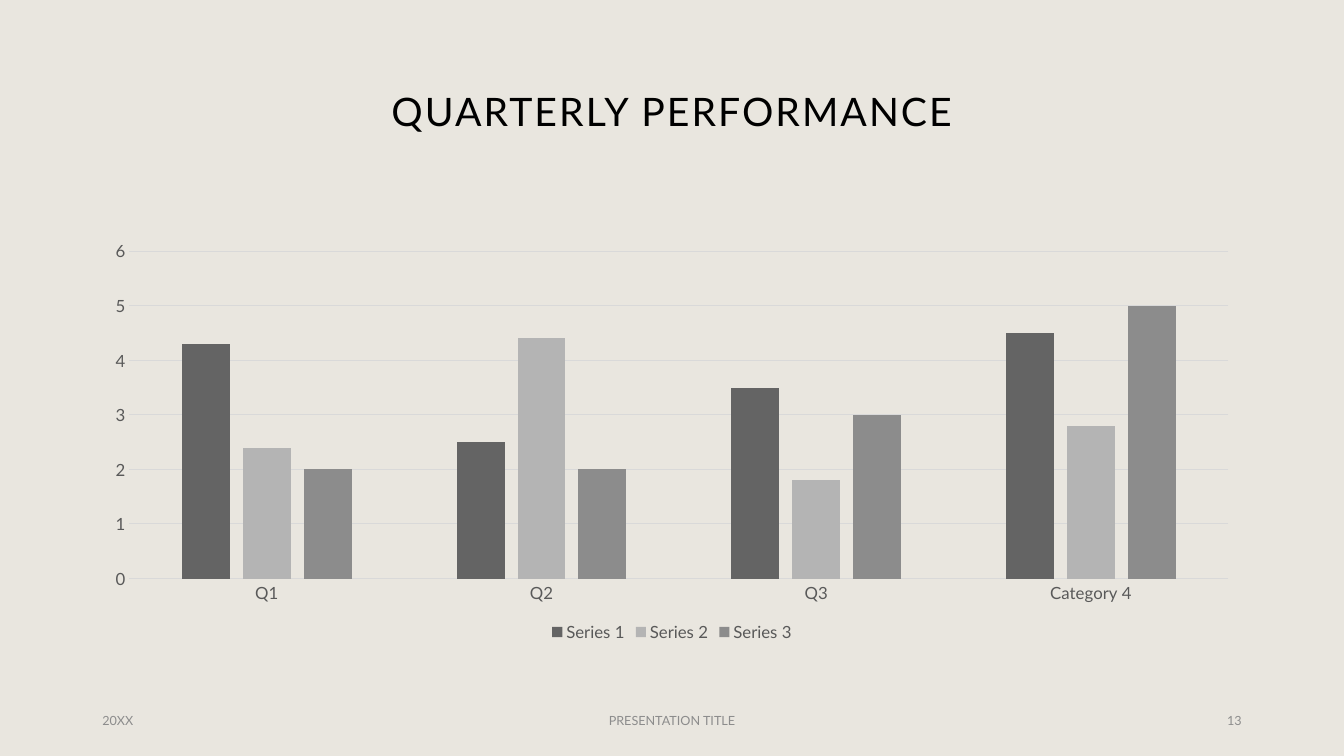
from dataclasses import dataclass

from pptx import Presentation
from pptx.chart.data import CategoryChartData
from pptx.dml.color import RGBColor
from pptx.enum import chart as ch, text
from pptx.util import Cm, Pt

TITLE = "QUARTERLY PERFORMANCE"
CATEGORIES = ["Q1", "Q2", "Q3", "Category 4"]
SERIES = [
    ("Series 1", (4.3, 2.5, 3.5, 4.5), "646464"),
    ("Series 2", (2.4, 4.4, 1.8, 2.8), "B4B4B4"),
    ("Series 3", (2, 2, 3, 5), "8C8C8C"),
]
# Text, width in cm, alignment
FOOTERS = [
    ("20XX", 7.62, text.PP_ALIGN.LEFT),
    ("PRESENTATION TITLE", 11.43, text.PP_ALIGN.CENTER),
    ("13", 7.62, text.PP_ALIGN.RIGHT),
]


@dataclass(frozen=True)
class Theme:
    font: str = "Lato"
    background: str = "E9E6DF"
    title: str = "000000"
    footer: str = "8C8C8C"
    label: str = "595959"
    grid: str = "D9D9D9"
    title_size: float = 28
    footer_size: float = 9
    label_size: float = 12
    line_width: float = 0.75


THEME = Theme()
SLIDE_WIDTH, SLIDE_HEIGHT = 33.87, 19.05
MARGIN = 2.33
CONTENT_WIDTH = SLIDE_WIDTH - 2 * MARGIN


def style_font(font, size, color):
    font.name = THEME.font
    font.size = Pt(size)
    font.bold = False
    font.color.rgb = RGBColor.from_string(color)


def style_line(line):
    line.color.rgb = RGBColor.from_string(THEME.grid)
    line.width = Pt(THEME.line_width)


def fill_text(shape, content, alignment, size, color):
    """Put one vertically centred line of text in the shape and return its paragraph."""
    frame = shape.text_frame
    frame.text = content
    frame.word_wrap = True
    frame.vertical_anchor = text.MSO_ANCHOR.MIDDLE
    paragraph = frame.paragraphs[0]
    paragraph.alignment = alignment
    style_font(paragraph.runs[0].font, size, color)
    return paragraph


def add_title(slide):
    title = slide.shapes.title
    title.left, title.top = Cm(MARGIN), Cm(1.02)
    title.width, title.height = Cm(CONTENT_WIDTH), Cm(3.68)
    paragraph = fill_text(title, TITLE, text.PP_ALIGN.CENTER, THEME.title_size, THEME.title)
    paragraph.line_spacing = 0.9
    paragraph.runs[0].font._element.set("spc", "150")


def add_footers(slide):
    gap = (CONTENT_WIDTH - sum(width for _, width, _ in FOOTERS)) / (len(FOOTERS) - 1)
    left = MARGIN
    for content, width, alignment in FOOTERS:
        box = slide.shapes.add_textbox(Cm(left), Cm(17.65), Cm(width), Cm(1.01))
        fill_text(box, content, alignment, THEME.footer_size, THEME.footer)
        left += width + gap


def add_performance_chart(slide):
    data = CategoryChartData()
    data.categories = CATEGORIES
    for name, values, _ in SERIES:
        data.add_series(name, values)
    chart = slide.shapes.add_chart(
        ch.XL_CHART_TYPE.COLUMN_CLUSTERED,
        Cm(MARGIN), Cm(5.87), Cm(CONTENT_WIDTH), Cm(10.41), data,
    ).chart
    style_font(chart.font, THEME.label_size, THEME.label)
    chart.has_title = False
    chart.has_legend = True
    chart.legend.position = ch.XL_LEGEND_POSITION.BOTTOM
    chart.legend.include_in_layout = False
    style_font(chart.legend.font, THEME.label_size, THEME.label)

    plot = chart.plots[0]
    plot.gap_width, plot.overlap = 219, -27
    plot.vary_by_categories = False
    for series, (_, _, color) in zip(plot.series, SERIES):
        series.format.fill.solid()
        series.format.fill.fore_color.rgb = RGBColor.from_string(color)

    for axis in (chart.category_axis, chart.value_axis):
        axis.major_tick_mark = axis.minor_tick_mark = ch.XL_TICK_MARK.NONE
        style_font(axis.tick_labels.font, THEME.label_size, THEME.label)
    style_line(chart.category_axis.format.line)
    value_axis = chart.value_axis
    value_axis.minimum_scale, value_axis.maximum_scale = 0, 6
    value_axis.major_unit = 1
    value_axis.format.line.fill.background()
    style_line(value_axis.major_gridlines.format.line)


def main():
    presentation = Presentation()
    presentation.slide_width = Cm(SLIDE_WIDTH)
    presentation.slide_height = Cm(SLIDE_HEIGHT)
    slide = presentation.slides.add_slide(presentation.slide_layouts.get_by_name("Title Only"))
    slide.background.fill.solid()
    slide.background.fill.fore_color.rgb = RGBColor.from_string(THEME.background)
    add_title(slide)
    add_footers(slide)
    add_performance_chart(slide)
    presentation.save("out.pptx")


if __name__ == "__main__":
    main()
